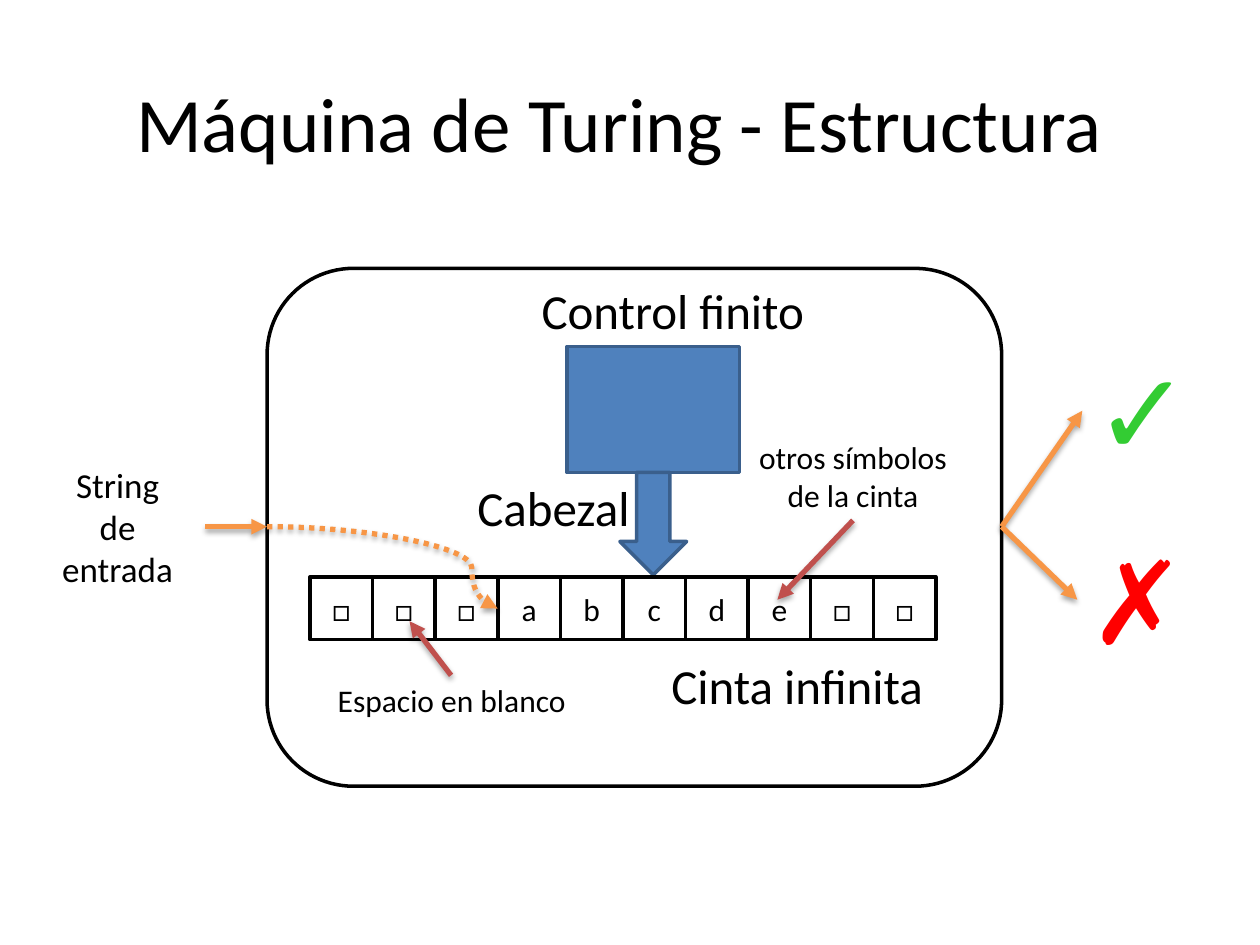
from pptx import Presentation
from pptx.dml.color import RGBColor
from pptx.enum.dml import MSO_LINE
from pptx.enum.shapes import MSO_CONNECTOR as CONNECTOR, MSO_SHAPE as SHAPE
from pptx.enum.text import MSO_ANCHOR as ANCHOR, MSO_AUTO_SIZE as AUTO_SIZE, PP_ALIGN as ALIGN
from pptx.oxml import parse_xml
from pptx.oxml.ns import nsdecls, qn
from pptx.util import Pt

FONT = "Calibri"
BLACK, WHITE, RED, GREEN = "000000", "FFFFFF", "FF0000", "33CC33"
BLUE, DARK_BLUE = "4F81BD", "3A5F8C"
ORANGE, BRICK = "F79646", "C0504D"
TAPE_SYMBOLS = "□□□abcde□□"
TAPE_LEFT, TAPE_TOP, CELL_PITCH, CELL_SIZE = 177.12, 329.76, 35.77, 35.8
ENTRY, EXIT = (152.64, 300.96), (572.4, 300.96)
SHADOW = (
    f'<a:effectLst {nsdecls("a")}><a:outerShdw blurRad="40000" dist="23000" dir="5400000" '
    'rotWithShape="0"><a:srgbClr val="000000"><a:alpha val="35000"/></a:srgbClr>'
    "</a:outerShdw></a:effectLst>"
)


def color(hex_string):
    """Turn a hex string into a colour."""
    return RGBColor.from_string(hex_string)


def place(shape, box):
    """Move and size a shape to left, top, width, height."""
    shape.left, shape.top, shape.width, shape.height = (Pt(value) for value in box)


def write(text_frame, text, size, ink=BLACK, align=ALIGN.CENTER, bold=False):
    """Set the text of a frame and format all its runs."""
    text_frame.text = text
    for paragraph in text_frame.paragraphs:
        paragraph.alignment = align
        for run in paragraph.runs:
            run.font.name, run.font.size, run.font.bold = FONT, Pt(size), bold
            run.font.color.rgb = color(ink)


def add_title(slide, text, box):
    """Place and format the title placeholder."""
    title = slide.shapes.title
    place(title, box)
    title.text_frame.vertical_anchor = ANCHOR.MIDDLE
    write(title.text_frame, text, 44)


def add_block(slide, kind, box, fill=None, line=BLACK):
    """Add an outlined preset shape, hollow when no fill is given."""
    shape = slide.shapes.add_shape(kind, *(Pt(value) for value in box))
    shape.shadow.inherit = False
    if fill:
        shape.fill.solid()
        shape.fill.fore_color.rgb = color(fill)
    else:
        shape.fill.background()
    shape.line.color.rgb = color(line)
    shape.line.width = Pt(2)
    return shape


def add_label(slide, text, box, size, wrap=False, ink=BLACK, bold=False):
    """Add a text box; wrapped labels are centred."""
    label = slide.shapes.add_textbox(*(Pt(value) for value in box))
    label.text_frame.word_wrap = wrap
    label.text_frame.auto_size = AUTO_SIZE.SHAPE_TO_FIT_TEXT
    write(label.text_frame, text, size, ink, ALIGN.CENTER if wrap else ALIGN.LEFT, bold)


def add_arrow(slide, start, end, ink, kind=CONNECTOR.STRAIGHT):
    """Add a connector with a soft shadow and a triangular head at its end."""
    arrow = slide.shapes.add_connector(kind, *(Pt(value) for value in start + end))
    arrow.line.color.rgb = color(ink)
    arrow.line.width = Pt(3)
    if kind == CONNECTOR.CURVE:
        arrow.line.dash_style = MSO_LINE.ROUND_DOT
        geometry = arrow._element.spPr.find(qn("a:prstGeom"))
        for old_guides in geometry.findall(qn("a:avLst")):
            geometry.remove(old_guides)
        geometry.append(parse_xml(
            f'<a:avLst {nsdecls("a")}><a:gd name="adj1" fmla="val 88800"/></a:avLst>'))
    properties = arrow._element.spPr
    properties.find(qn("a:ln")).append(
        parse_xml(f'<a:tailEnd {nsdecls("a")} type="triangle"/>'))
    properties.append(parse_xml(SHADOW))


def add_tape(slide):
    """Add the row of tape cells."""
    for index, symbol in enumerate(TAPE_SYMBOLS):
        left = TAPE_LEFT + index * CELL_PITCH
        cell = add_block(slide, SHAPE.RECTANGLE, (left, TAPE_TOP, CELL_SIZE, CELL_SIZE), WHITE)
        cell.text_frame.vertical_anchor = ANCHOR.MIDDLE
        write(cell.text_frame, symbol, 18)


def main():
    """Build the slide and save it."""
    presentation = Presentation()
    presentation.slide_width, presentation.slide_height = Pt(720), Pt(540)
    slide = presentation.slides.add_slide(presentation.slide_layouts[5])
    add_title(slide, "Máquina de Turing - Estructura", (30, 24.5, 648, 90))

    add_block(slide, SHAPE.RECTANGLE, (324, 198, 98.64, 72), BLUE, DARK_BLUE)
    add_block(slide, SHAPE.DOWN_ARROW, (354.24, 270, 38.16, 58.5), BLUE, DARK_BLUE)
    add_tape(slide)
    add_label(slide, "Cinta infinita", (376.56, 370.8, 159.84, 41.04), 28)
    add_label(slide, "Control finito", (302.4, 156.96, 166.32, 41.04), 28)
    add_label(slide, "Cabezal", (265.68, 269.28, 102.24, 41.04), 28)
    add_arrow(slide, (257.76, 385.92), (234, 354.96), BRICK)
    add_label(slide, "Espacio en blanco", (185.04, 385.92, 146.16, 28.8), 18, wrap=True)
    add_block(slide, SHAPE.ROUNDED_RECTANGLE, (152.64, 153.36, 419.76, 295.92))

    add_label(slide, "✗", (615.6, 298.8, 69.12, 87.12), 66, ink=RED, bold=True)
    add_label(slide, "✓", (618.48, 190.8, 64.8, 87.12), 66, ink=GREEN, bold=True)
    add_arrow(slide, EXIT, (618.48, 234.72), ORANGE)
    add_arrow(slide, EXIT, (615.6, 342.72), ORANGE)
    add_arrow(slide, (117.36, 300.96), ENTRY, ORANGE)
    add_label(slide, "String\nde entrada", (17.5, 261.36, 99.5, 79.92), 20, wrap=True)
    add_arrow(slide, (487.44, 297.36), (444.24, 342.72), BRICK)
    add_label(slide, "otros símbolos de la cinta", (422.64, 246.96, 129.6, 51.12), 18, wrap=True)
    add_arrow(slide, ENTRY, (284.4, 347.76), ORANGE, CONNECTOR.CURVE)

    presentation.save("out.pptx")


main()
